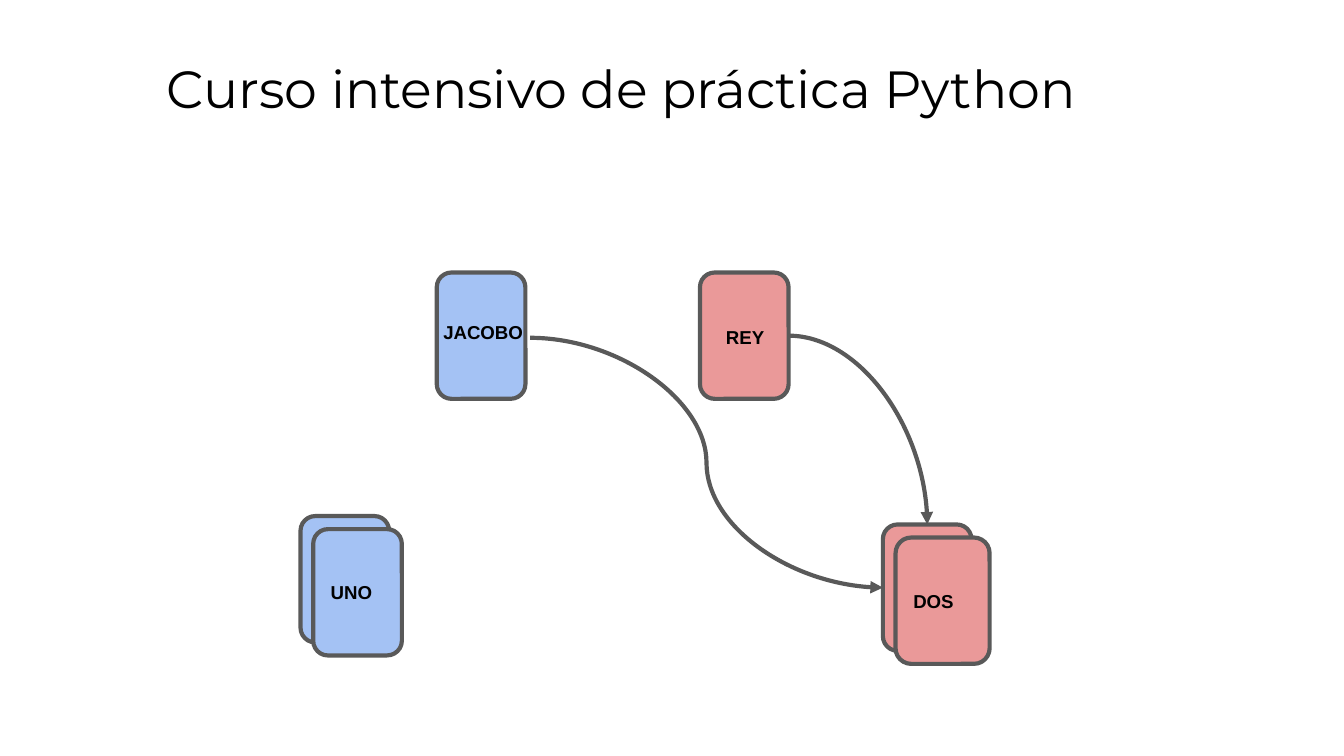
from lxml.etree import SubElement
from pptx import Presentation
from pptx.dml.color import RGBColor
from pptx.enum.shapes import MSO_CONNECTOR as Connector, MSO_SHAPE as Shape
from pptx.enum.text import MSO_ANCHOR as Anchor, PP_ALIGN as Align
from pptx.oxml.ns import qn
from pptx.util import Pt

COLOURS = {"blue": "A4C2F4", "red": "EA9999", "border": "595959", "text": "000000"}
CARD_WIDTH, CARD_HEIGHT = 47.5, 67.7
ROW_TOP = 146


def colour(name):
    return RGBColor.from_string(COLOURS[name])


class CardSlide:
    """Draws cards, labels and curved arrows on one slide in a shared style."""

    def __init__(self, deck):
        self.slide = deck.slides.add_slide(deck.slide_layouts[5])
        self.shapes = self.slide.shapes

    def set_text(self, box, text, size=10, font="Arial", bold=True, anchor=Anchor.TOP):
        frame = box.text_frame
        frame.text = text
        frame.word_wrap = True
        frame.vertical_anchor = anchor
        frame.margin_left = frame.margin_right = Pt(7.2)
        frame.margin_top = frame.margin_bottom = Pt(7.2)
        para = frame.paragraphs[0]
        para.alignment = Align.LEFT
        span = para.runs[0]
        span.font.size = Pt(size)
        span.font.name = font
        span.font.bold = bold
        span.font.color.rgb = colour("text")

    def title(self, text, left, top, width, height):
        box = self.shapes.title
        box.left, box.top, box.width, box.height = map(Pt, (left, top, width, height))
        self.set_text(box, text, size=28, font="Montserrat", bold=False)

    def card(self, fill, left, top, text=None, width=CARD_WIDTH):
        box = self.shapes.add_shape(
            Shape.ROUNDED_RECTANGLE, Pt(left), Pt(top), Pt(width), Pt(CARD_HEIGHT))
        box.shadow.inherit = False
        box.fill.solid()
        box.fill.fore_color.rgb = colour(fill)
        self.outline(box)
        if text:
            self.set_text(box, text, anchor=Anchor.MIDDLE)
        return box

    def stack(self, fill, left, top, text, front_width=CARD_WIDTH):
        back = self.card(fill, left, top)
        self.card(fill, left + 6.8, top + 7, text, front_width)
        return back

    def label(self, text, left, top):
        box = self.shapes.add_textbox(Pt(left), Pt(top), Pt(78.5), Pt(34.5))
        self.set_text(box, text)

    def outline(self, item):
        item.line.color.rgb = colour("border")
        item.line.width = Pt(2.25)

    def arrow(self, start, end, preset="curvedConnector3"):
        link = self.shapes.add_connector(Connector.CURVE, *map(Pt, start + end))
        self.outline(link)
        properties = link.element.spPr
        properties.find(qn("a:prstGeom")).set("prst", preset)
        SubElement(properties.find(qn("a:ln")), qn("a:tailEnd"), type="triangle")
        SubElement(properties, qn("a:effectLst"))
        return link


def main():
    deck = Presentation()
    deck.slide_width, deck.slide_height = Pt(720), Pt(405)
    page = CardSlide(deck)
    page.title("Curso intensivo de práctica Python", 82, 23, 613.4, 45.4)

    page.card("blue", 234, ROW_TOP)
    page.stack("blue", 161, 276.5, "UNO")
    king = page.card("red", 375, ROW_TOP)
    two = page.stack("red", 473, 281, "DOS", front_width=50.4)
    page.label("JACOBO", 230.4, 165.6)
    page.label("REY", 381.8, 168.4)

    king_arrow = page.arrow((422.5, 180), (496.7, 281), "curvedConnector2")
    king_arrow.begin_connect(king, 3)
    king_arrow.end_connect(two, 0)
    page.arrow((284, 181), (473, 315)).end_connect(two, 1)
    deck.save("out.pptx")


if __name__ == "__main__":
    main()
